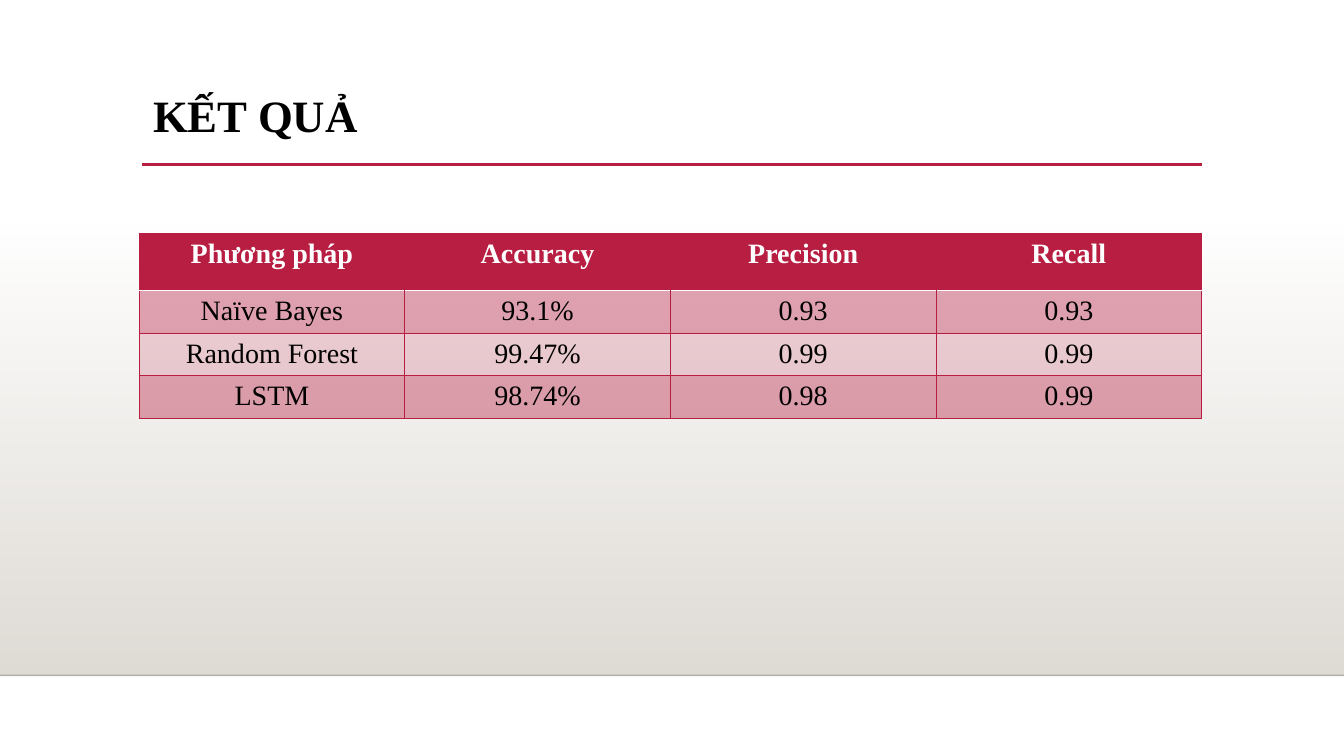
from dataclasses import dataclass

from lxml.etree import SubElement
from pptx import Presentation
from pptx.dml.color import RGBColor
from pptx.enum.shapes import MSO_CONNECTOR, MSO_SHAPE
from pptx.enum.text import MSO_ANCHOR, PP_ALIGN
from pptx.oxml.ns import qn
from pptx.util import Inches, Pt

FONT = "Times New Roman"
CRIMSON = RGBColor(0xB7, 0x1E, 0x42)
SAND = RGBColor(0xDF, 0xDB, 0xD5)
BLACK = RGBColor(0, 0, 0)
NEAR_BLACK = RGBColor(0, 0, 1)
WHITE = RGBColor(0xFF, 0xFF, 0xFF)

SLIDE_WIDTH, SLIDE_HEIGHT = 13.33, 7.5
FLOOR_TOP, FLOOR_BOTTOM = 2.21, 6.7
TABLE_LEFT, TABLE_TOP, TABLE_WIDTH = 1.38, 2.32, 10.54
HEADER_HEIGHT, ROW_HEIGHT = 0.56, 0.4
ODD_ROW_OPACITY, EVEN_ROW_OPACITY = 40, 20

RESULTS = [
    ("Phương pháp", "Accuracy", "Precision", "Recall"),
    ("Naïve Bayes", "93.1%", "0.93", "0.93"),
    ("Random Forest", "99.47%", "0.99", "0.99"),
    ("LSTM", "98.74%", "0.98", "0.99"),
]


@dataclass(frozen=True)
class Rule:
    """A horizontal line across the slide."""
    left: float
    right: float
    top: float
    color: RGBColor
    weight: float
    opacity: int = 100


@dataclass(frozen=True)
class Border:
    """The look of one cell edge."""
    color: RGBColor
    weight: float


RULES = [
    Rule(0, SLIDE_WIDTH, FLOOR_BOTTOM, NEAR_BLACK, 1, opacity=20),
    Rule(1.41, 11.92, 1.63, CRIMSON, 2.5),
]
GRID = Border(CRIMSON, 0.75)
HEADER_EDGE = Border(WHITE, 1.25)


def set_opacity(color_element, percent: int) -> None:
    """Give a colour element an opacity in percent."""
    SubElement(color_element, qn("a:alpha"), val=str(percent * 1000))


def write_text(frame, text: str, *, size: float, color: RGBColor, bold: bool = False,
               align=PP_ALIGN.LEFT, line_spacing: float = 1.0) -> None:
    """Put one formatted paragraph into a text frame."""
    paragraph = frame.paragraphs[0]
    paragraph.alignment = align
    paragraph.line_spacing = line_spacing
    run = paragraph.add_run()
    run.text = text
    run.font.name = FONT
    run.font.size = Pt(size)
    run.font.bold = bold
    run.font.color.rgb = color


def add_floor(slide) -> None:
    """Draw the band that fades in from clear to sand."""
    shape = slide.shapes.add_shape(
        MSO_SHAPE.RECTANGLE, 0, Inches(FLOOR_TOP),
        Inches(SLIDE_WIDTH), Inches(FLOOR_BOTTOM - FLOOR_TOP))
    shape.shadow.inherit = False
    shape.line.fill.background()
    shape.fill.gradient()
    shape.fill.gradient_angle = 270
    for stop in shape.fill.gradient_stops:
        stop.color.rgb = SAND
    first_color = next(shape.element.iter(qn("a:srgbClr")))
    set_opacity(first_color, 0)


def add_rule(slide, rule: Rule) -> None:
    """Draw a horizontal line."""
    connector = slide.shapes.add_connector(
        MSO_CONNECTOR.STRAIGHT, Inches(rule.left), Inches(rule.top),
        Inches(rule.right), Inches(rule.top))
    connector.line.color.rgb = rule.color
    connector.line.width = Pt(rule.weight)
    if rule.opacity < 100:
        set_opacity(next(connector.element.iter(qn("a:srgbClr"))), rule.opacity)
    SubElement(connector.element.spPr, qn("a:effectLst"))


def add_title(slide, text: str) -> None:
    """Add the slide heading."""
    box = slide.shapes.add_textbox(Inches(1.42), Inches(0.88), Inches(10.5), Inches(1.15))
    box.text_frame.word_wrap = True
    box.text_frame.vertical_anchor = MSO_ANCHOR.TOP
    write_text(box.text_frame, text, size=32, color=BLACK, bold=True, line_spacing=0.9)


def set_borders(cell, edges: dict[str, Border | None]) -> None:
    """Set cell edges, keyed L, R, T and B in that order; None hides an edge."""
    properties = cell._tc.get_or_add_tcPr()
    for position, (side, border) in enumerate(edges.items()):
        line = properties.makeelement(qn(f"a:ln{side}"))
        properties.insert(position, line)
        if border is None:
            SubElement(line, qn("a:noFill"))
            continue
        line.set("w", str(Pt(border.weight)))
        fill = SubElement(line, qn("a:solidFill"))
        SubElement(fill, qn("a:srgbClr"), val=str(border.color))


def add_results_table(slide, results: list[tuple[str, ...]]) -> None:
    """Add the table of scores with a solid header and tinted rows."""
    row_count, column_count = len(results), len(results[0])
    height = HEADER_HEIGHT + ROW_HEIGHT * (row_count - 1)
    table = slide.shapes.add_table(
        row_count, column_count, Inches(TABLE_LEFT), Inches(TABLE_TOP),
        Inches(TABLE_WIDTH), Inches(height)).table
    for column in table.columns:
        column.width = Inches(TABLE_WIDTH / column_count)
    for row_index, values in enumerate(results):
        is_header = row_index == 0
        table.rows[row_index].height = Inches(HEADER_HEIGHT if is_header else ROW_HEIGHT)
        for column_index, value in enumerate(values):
            cell = table.cell(row_index, column_index)
            cell.margin_bottom = Inches(0.04)
            cell.fill.solid()
            cell.fill.fore_color.rgb = CRIMSON
            if not is_header:
                opacity = ODD_ROW_OPACITY if row_index % 2 else EVEN_ROW_OPACITY
                set_opacity(next(cell._tc.iter(qn("a:srgbClr"))), opacity)
            is_first, is_last = column_index == 0, column_index == column_count - 1
            set_borders(cell, {
                "L": GRID if is_first or not is_header else None,
                "R": GRID if is_last or not is_header else None,
                "T": HEADER_EDGE if row_index == 1 else GRID,
                "B": HEADER_EDGE if is_header else GRID,
            })
            write_text(cell.text_frame, value, size=20, bold=is_header,
                       color=WHITE if is_header else BLACK, align=PP_ALIGN.CENTER)


def main() -> None:
    """Build the slide and save it."""
    presentation = Presentation()
    presentation.slide_width = Inches(SLIDE_WIDTH)
    presentation.slide_height = Inches(SLIDE_HEIGHT)
    slide = presentation.slides.add_slide(presentation.slide_layouts[6])
    slide.background.fill.solid()
    slide.background.fill.fore_color.rgb = WHITE
    add_floor(slide)
    for rule in RULES:
        add_rule(slide, rule)
    add_title(slide, "KẾT QUẢ")
    add_results_table(slide, RESULTS)
    presentation.save("out.pptx")


main()
